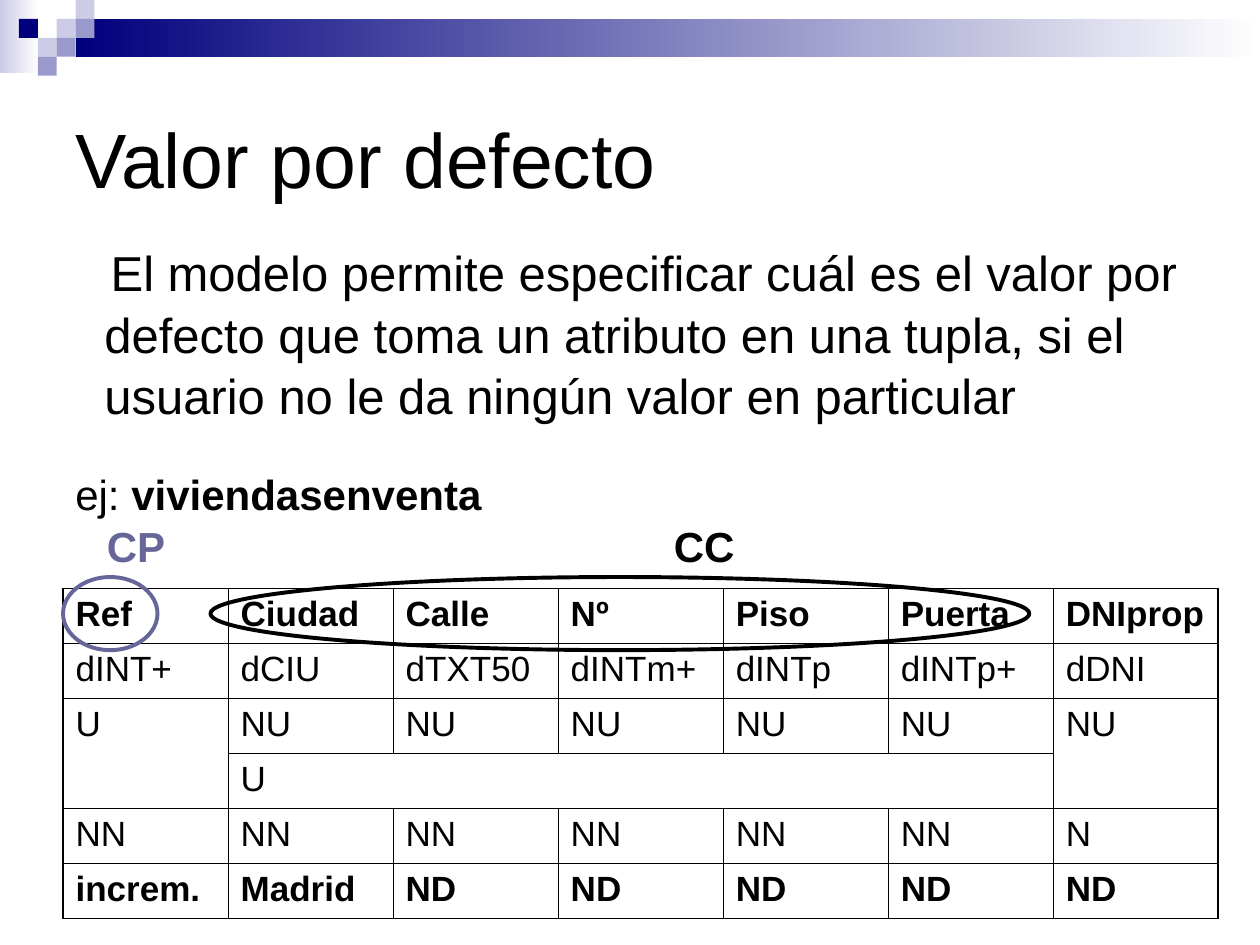
from pptx import Presentation
from pptx.dml.color import RGBColor as RGB
from pptx.enum.shapes import MSO_SHAPE as Shape
from pptx.enum.text import MSO_ANCHOR as Anchor
from pptx.oxml.ns import qn
from pptx.util import Inches, Pt
from lxml.etree import SubElement

HUES = {"black": "000000", "white": "FFFFFF", "navy": "00007D",
        "pale": "CCCCE6", "mid": "9999CC", "slate": "666699"}
THIN, THICK = 0.45, 1.08
ROWS = [
    ["Ref", "Ciudad", "Calle", "Nº", "Piso", "Puerta", "DNIprop"],
    ["dINT+", "dCIU", "dTXT50", "dINTm+", "dINTp", "dINTp+", "dDNI"],
    ["U", "NU", "NU", "NU", "NU", "NU", "NU"],
    ["", "U", "", "", "", "", ""],
    ["NN", "NN", "NN", "NN", "NN", "NN", "N"],
    ["increm.", "Madrid", "ND", "ND", "ND", "ND", "ND"],
]
BOLD = (0, 5)
# First and last cell (row, column) of each merged area
SPANS = [((2, 0), (3, 0)), ((2, 6), (3, 6)), ((3, 1), (3, 5))]


def hue(name):
    return RGB.from_string(HUES[name])


def add_run(para, text, size, bold=False, color="black"):
    run = para.add_run()
    run.text = text
    form = {"name": "Arial", "size": Pt(size), "bold": bold}
    for key, value in form.items():
        setattr(run.font, key, value)
    run.font.color.rgb = hue(color)


def add_text(slide, box, runs, size, color="black", wrap=True, anchor=Anchor.TOP):
    frame = slide.shapes.add_textbox(*map(Inches, box)).text_frame
    frame.word_wrap = wrap
    frame.vertical_anchor = anchor
    para = frame.paragraphs[0]
    for text, bold in runs:
        add_run(para, text, size, bold, color)
    return para


def add_rect(slide, box, color, fade=False):
    rect = slide.shapes.add_shape(Shape.RECTANGLE, *map(Inches, box))
    rect.shadow.inherit = False
    rect.line.fill.background()
    if fade:
        rect.fill.gradient()
        rect.fill.gradient_angle = 0
        for stop, name in zip(rect.fill.gradient_stops, (color, "white")):
            stop.color.rgb = hue(name)
    else:
        rect.fill.solid()
        rect.fill.fore_color.rgb = hue(color)


def add_band(slide, left, top, width):
    # Fading bars, then the small squares on a grid
    add_rect(slide, (left, top, 0.31, 0.58), "pale", fade=True)
    add_rect(slide, (left + 0.6, top + 0.15, width - 0.6, 0.3), "navy", fade=True)
    side = 0.15
    squares = [(3, 1, "pale"), (4, 0, "pale"), (4, 1, "mid"), (2, 2, "pale"),
               (1, 1, "navy"), (3, 2, "mid"), (2, 3, "mid")]
    for col, row, color in squares:
        add_rect(slide, (left + col * side, top + row * side, side, side), color)


def add_edges(cell, widths):
    props = cell._tc.get_or_add_tcPr()
    for tag, width in widths.items():
        line = SubElement(props, qn(f"a:{tag}"), w=str(Pt(width)))
        fill = SubElement(line, qn("a:solidFill"))
        SubElement(fill, qn("a:srgbClr"), val=HUES["black"])


def add_grid(slide, left, top, width, height):
    rows, cols = len(ROWS), len(ROWS[0])
    table = slide.shapes.add_table(
        rows, cols, *map(Inches, (left, top, width, height))).table
    table.first_row = table.horz_banding = False
    for col in table.columns:
        col.width = Inches(width / cols)
    for row in table.rows:
        row.height = Inches(height / rows)
    for r, texts in enumerate(ROWS):
        for c, text in enumerate(texts):
            cell = table.cell(r, c)
            outer = {"lnL": c == 0, "lnR": c == cols - 1,
                     "lnT": r == 0, "lnB": r == rows - 1}
            add_edges(cell, {tag: THICK if edge else THIN
                             for tag, edge in outer.items()})
            cell.fill.background()
            if text:
                add_run(cell.text_frame.paragraphs[0], text, 20, r in BOLD)
    for first, last in SPANS:
        table.cell(*first).merge(table.cell(*last))


def add_key(slide, ring, label, text, color):
    # Ellipse around the key columns, with its label above
    oval = slide.shapes.add_shape(Shape.OVAL, *map(Inches, ring))
    oval.shadow.inherit = False
    oval.fill.background()
    oval.line.color.rgb = hue(color)
    oval.line.width = Pt(2.25)
    add_text(slide, label, [(text, True)], 24, color, wrap=False)


def add_body(slide, box):
    para = add_text(slide, box, [(
        "El modelo permite especificar cuál es el valor por defecto que toma "
        "un atributo en una tupla, si el usuario no le da ningún valor en "
        "particular", False)], 28)
    para.line_spacing = 1.04
    props = para._p.get_or_add_pPr()
    props.set("marL", str(Inches(0.38)))
    props.set("indent", str(Inches(0.05)))


def main():
    deck = Presentation()
    deck.slide_width, deck.slide_height = Inches(10), Inches(7.5)
    slide = deck.slides.add_slide(deck.slide_layouts[6])
    add_band(slide, 0, 0, 10)
    add_text(slide, (0.5, 0.5, 9, 1.5), [("Valor por defecto", False)], 44,
             anchor=Anchor.MIDDLE)
    add_body(slide, (0.35, 1.86, 9.15, 1.89))
    add_text(slide, (0.5, 3.67, 9, 0.5),
             [("ej: ", False), ("viviendasenventa", True)], 24)
    add_grid(slide, 0.5, 4.67, 9.17, 2.62)
    add_key(slide, (1.67, 4.58, 6.5, 0.58), (5.25, 4.08, 0.68, 0.5), "CC", "black")
    add_key(slide, (0.5, 4.58, 0.75, 0.58), (0.75, 4.08, 0.66, 0.5), "CP", "slate")
    deck.save("out.pptx")


if __name__ == "__main__":
    main()
